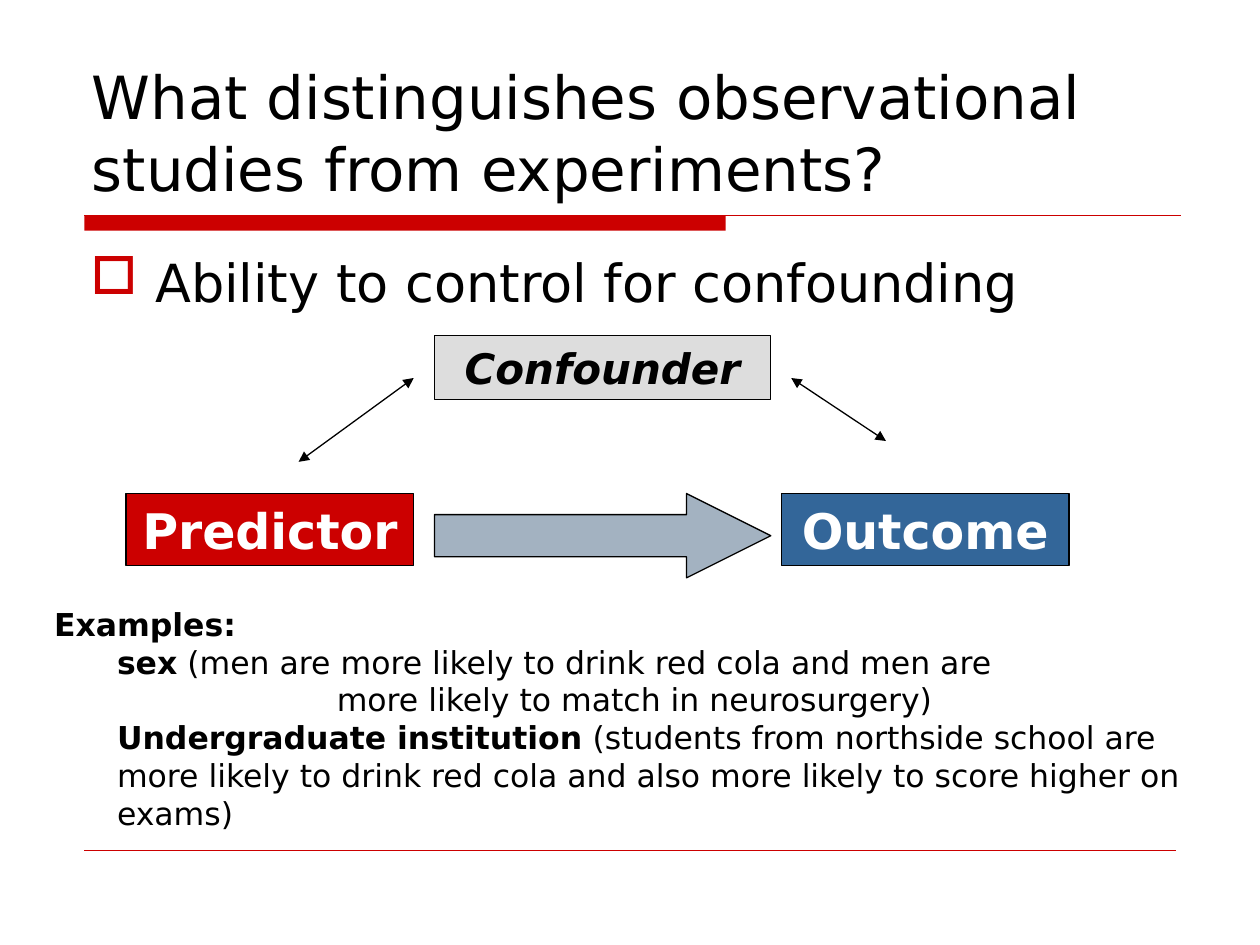
from lxml.etree import SubElement
from pptx import Presentation
from pptx.dml.color import RGBColor
from pptx.enum.shapes import MSO_CONNECTOR as Connector, MSO_SHAPE as Shape
from pptx.enum.text import MSO_ANCHOR as Anchor, MSO_AUTO_SIZE as AutoSize, PP_ALIGN as Align
from pptx.oxml.ns import qn
from pptx.util import Cm, Pt

FONT = "DejaVu Sans"
BLACK = RGBColor(0x00, 0x00, 0x00)
WHITE = RGBColor(0xFF, 0xFF, 0xFF)
RED = RGBColor(0xCC, 0x00, 0x00)
BLUE = RGBColor(0x33, 0x66, 0x99)
GREY = RGBColor(0xDD, 0xDD, 0xDD)
STEEL = RGBColor(0xA3, 0xB2, 0xC1)


def set_font(paragraph, size, color=BLACK, bold=None, italic=None):
    font = paragraph.font
    font.name, font.size = FONT, Pt(size)
    font.bold, font.italic = bold, italic
    font.color.rgb = color


def add_block(slide, kind, box, fill, line=BLACK):
    block = slide.shapes.add_shape(kind, *map(Cm, box))
    block.shadow.inherit = False
    block.fill.solid()
    block.fill.fore_color.rgb = fill
    if line is None:
        block.line.fill.background()
    else:
        block.line.color.rgb = line
        block.line.width = Pt(0.75)
    return block


def add_label(slide, text, box, fill, size, color, italic=None):
    label = add_block(slide, Shape.RECTANGLE, box, fill)
    frame = label.text_frame
    frame.word_wrap = False
    frame.vertical_anchor = Anchor.MIDDLE
    paragraph = frame.paragraphs[0]
    paragraph.text = text
    paragraph.alignment = Align.CENTER
    set_font(paragraph, size, color, True, italic)


def add_line(slide, ends, color, width, arrows=False):
    line = slide.shapes.add_connector(Connector.STRAIGHT, *map(Cm, ends))
    line.line.color.rgb = color
    line.line.width = Pt(width)
    if arrows:
        outline = line.line._get_or_add_ln()
        for end in ("a:headEnd", "a:tailEnd"):
            SubElement(outline, qn(end), type="triangle")
    SubElement(line._element.spPr, qn("a:effectLst"))


def add_text_frame(slide, box):
    frame = slide.shapes.add_textbox(*map(Cm, box)).text_frame
    frame.word_wrap = True
    return frame


def set_title(slide, text):
    title = slide.shapes.title
    title.left, title.top, title.width, title.height = map(Cm, (1.6, 0.84, 22.22, 3.38))
    frame = title.text_frame
    frame.auto_size = AutoSize.NONE
    frame.vertical_anchor = Anchor.BOTTOM
    paragraph = frame.paragraphs[0]
    paragraph.text = text
    paragraph.alignment = Align.LEFT
    set_font(paragraph, 34)


def add_key_point(slide, text):
    paragraph = add_text_frame(slide, (1.58, 4.92, 22.22, 1.5)).paragraphs[0]
    paragraph.text = text
    props = paragraph._p.get_or_add_pPr()
    props.set("marL", str(Cm(1.3)))
    props.set("indent", str(-Cm(1.3)))
    bullet_color = SubElement(props, qn("a:buClr"))
    SubElement(bullet_color, qn("a:srgbClr"), val=str(RED))
    SubElement(props, qn("a:buChar"), char="□")
    set_font(paragraph, 30)


def add_examples(slide, examples):
    frame = add_text_frame(slide, (0.84, 12.07, 23.7, 4.83))
    for index, (indent, term, detail) in enumerate(examples):
        paragraph = frame.add_paragraph() if index else frame.paragraphs[0]
        paragraph._p.get_or_add_pPr().set("marL", str(Cm(indent)))
        set_font(paragraph, 18)
        if term:
            run = paragraph.add_run()
            run.text = term
            run.font.bold = True
        if detail:
            paragraph.add_run().text = detail


def main():
    deck = Presentation()
    deck.slide_width, deck.slide_height = Cm(25.4), Cm(19.05)
    slide = deck.slides.add_slide(deck.slide_layouts[5])

    # Title with its rule, and the footer rule
    set_title(slide, "What distinguishes observational studies from experiments?")
    add_block(slide, Shape.RECTANGLE, (1.7, 4.34, 12.93, 0.31), RED, None)
    add_line(slide, (1.7, 4.34, 23.8, 4.34), RED, 0.75)
    add_line(slide, (1.7, 17.14, 23.7, 17.14), RED, 0.25)

    add_key_point(slide, "Ability to control for confounding")

    # Confounding diagram
    add_label(slide, "Predictor", (2.54, 9.95, 5.8, 1.45), RED, 28, WHITE)
    add_label(slide, "Outcome", (15.75, 9.95, 5.8, 1.45), BLUE, 28, WHITE)
    add_label(slide, "Confounder", (8.76, 6.77, 6.77, 1.28), GREY, 24, BLACK, True)
    add_line(slide, (6.02, 9.31, 8.34, 7.62), BLACK, 0.75, arrows=True)
    add_line(slide, (15.95, 7.62, 17.86, 8.89), BLACK, 0.75, arrows=True)
    effect = add_block(slide, Shape.RIGHT_ARROW, (8.76, 9.95, 6.78, 1.7), STEEL)
    effect.adjustments[0], effect.adjustments[1] = 0.5, 1

    # Example confounders: indent, term, detail
    add_examples(slide, [
        (0, "Examples:", ""),
        (1.27, "sex", " (men are more likely to drink red cola and men are"),
        (5.7, "", "more likely to match in neurosurgery)"),
        (1.27, "Undergraduate institution",
         " (students from northside school are more likely to drink red cola"
         " and also more likely to score higher on exams)"),
    ])
    deck.save("out.pptx")


if __name__ == "__main__":
    main()
